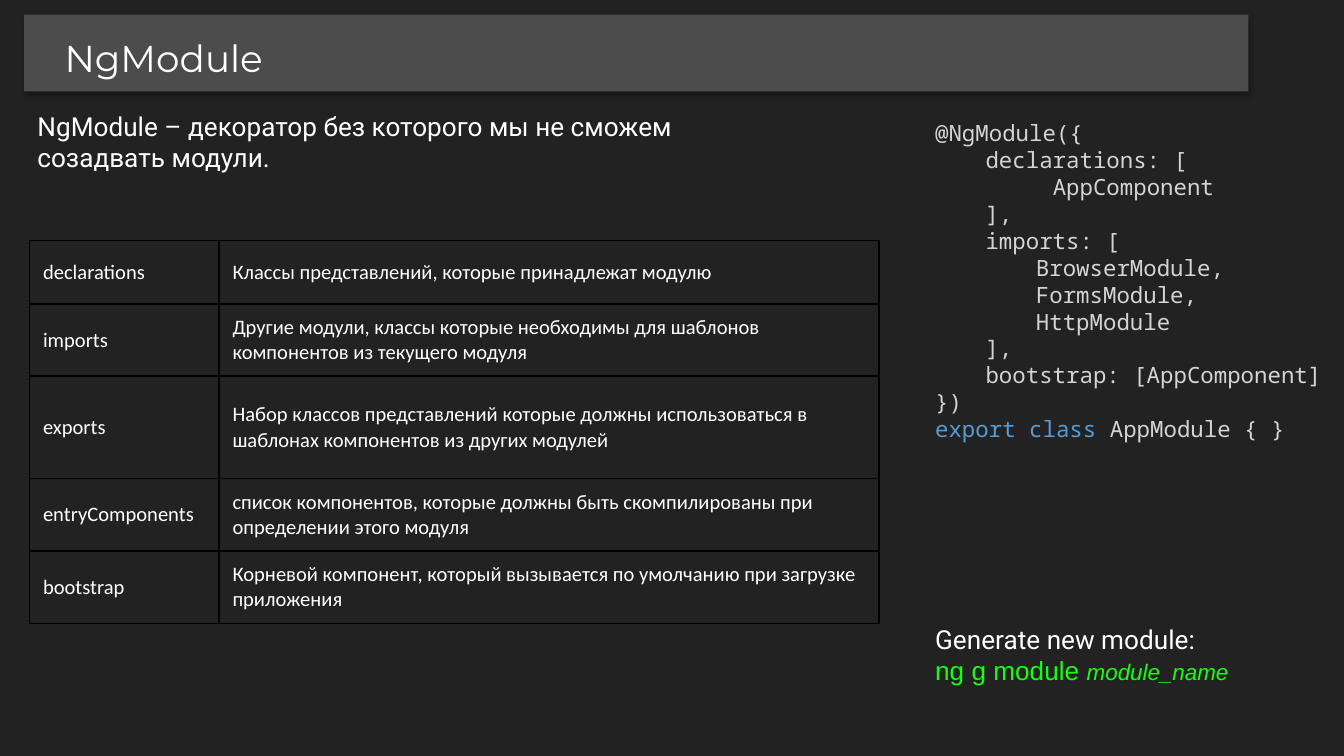
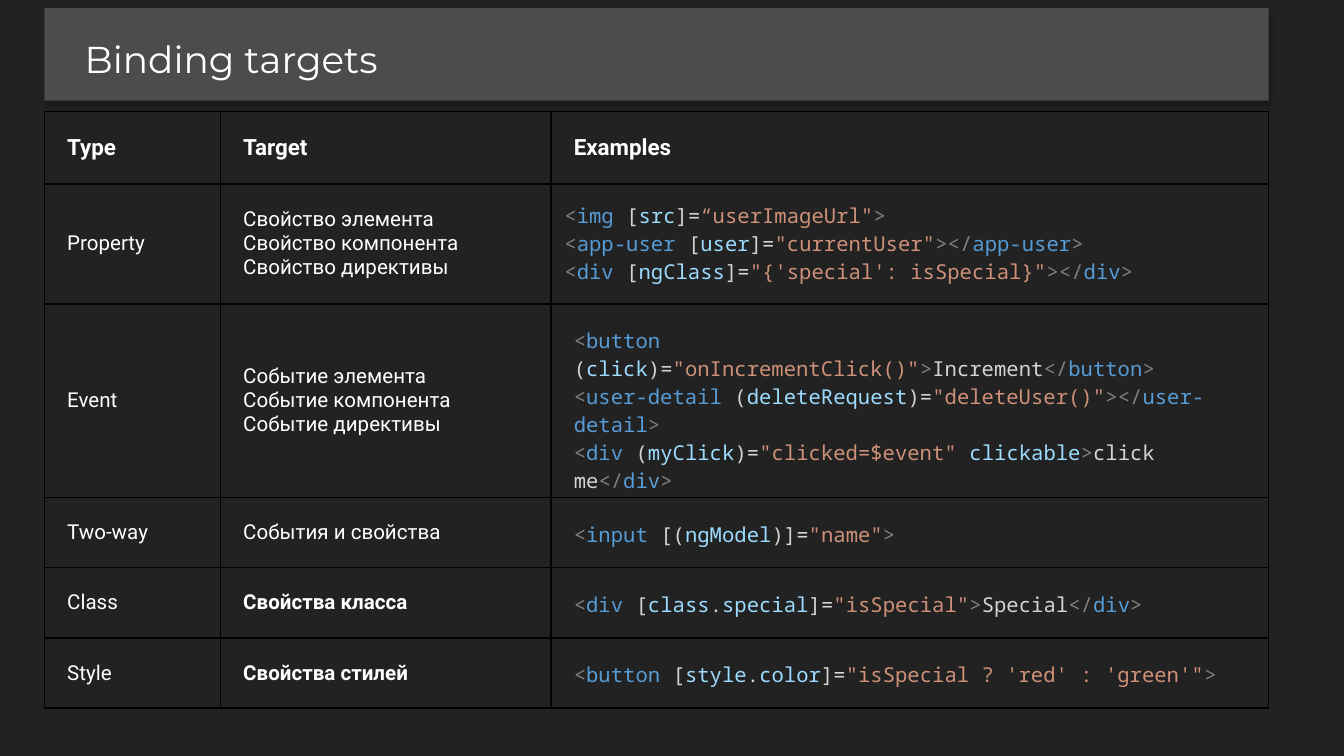
from itertools import groupby

from lxml import etree
from pptx import Presentation
from pptx.dml.color import RGBColor
from pptx.enum.shapes import MSO_SHAPE
from pptx.enum.text import MSO_ANCHOR, PP_ALIGN
from pptx.oxml.ns import qn
from pptx.util import Inches, Pt

RECTANGLE = MSO_SHAPE.RECTANGLE
TOP, MIDDLE = MSO_ANCHOR.TOP, MSO_ANCHOR.MIDDLE
LEFT = PP_ALIGN.LEFT
rgb = RGBColor.from_string

# Shared look
BACKGROUND, BAND, BORDER, WHITE, GREEN = "232223", "4C4C4C", "000000", "FFFFFF", "17FF0B"
PUNCTUATION, TAG, ATTRIBUTE, STRING, PLAIN = "808080", "569CD6", "9CDCFE", "CE9178", "D4D4D4"
MONO = "Noto Sans Mono"

# Square grid: 100 columns across the slide
prs = Presentation()
prs.slide_width = Inches(10)
prs.slide_height = prs.slide_width * 9 // 16
GRID = prs.slide_width // 100


def write(holder, lines, size=11, font="Roboto", color=WHITE, bold=False,
          levels=None, spacing=None):
    """Fill a shape or cell; a line is a string or a list of (text, overrides)."""
    frame = holder.text_frame
    frame.word_wrap = True
    for i, line in enumerate(lines):
        paragraph = frame.add_paragraph() if i else frame.paragraphs[0]
        paragraph.alignment = LEFT
        if spacing:
            paragraph.line_spacing = spacing
        if levels and levels[i]:
            paragraph.level = levels[i]
            properties = paragraph._p.get_or_add_pPr()
            properties.set("marL", str(int(3.75 * GRID * levels[i])))
            properties.set("indent", "0")
        for text, changes in [(line, {})] if isinstance(line, str) else line:
            run = paragraph.add_run()
            run.text = text
            run.font.size = Pt(changes.get("size", size))
            run.font.name = changes.get("font", font)
            run.font.bold = bold
            run.font.italic = changes.get("italic", False)
            run.font.color.rgb = rgb(changes.get("color", color))


def highlight(line):
    """Split a line of template markup into coloured runs."""
    inside = naming = quoted = False
    colored = []
    for char in line:
        if quoted:
            color, quoted = STRING, char != '"'
        elif char in '"“':
            color, quoted = STRING, True
        elif char in "<>":
            color = PUNCTUATION
            inside = naming = char == "<"
        elif inside and char == "/":
            color = PUNCTUATION
        elif naming and char != " ":
            color = TAG
        elif inside and char.isalnum():
            color = ATTRIBUTE
        else:
            color, naming = PLAIN, False
        colored.append((char, color))
    return [("".join(char for char, _ in group), {"color": color})
            for color, group in groupby(colored, key=lambda pair: pair[1])]


# Slides with their title bands
slides = []
for title, left, top, height in [("NgModule", 1.8, 1.1, 5.7),
                                 ("Binding targets", 3.3, 0.6, 6.9)]:
    slide = prs.slides.add_slide(prs.slide_layouts[6])
    slide.background.fill.solid()
    slide.background.fill.fore_color.rgb = rgb(BACKGROUND)
    band = slide.shapes.add_shape(RECTANGLE, *(int(n * GRID) for n in (left, top, 91.1, height)))
    band.fill.solid()
    band.fill.fore_color.rgb = rgb(BAND)
    band.line.fill.background()
    band.shadow.inherit = False
    effects = band._element.spPr.find(qn("a:effectLst"))
    shadow = etree.SubElement(effects, qn("a:outerShdw"), blurRad=str(Pt(3.1)),
                              dist=str(Pt(2)), dir="5400000", algn="t", rotWithShape="0")
    shade = etree.SubElement(shadow, qn("a:srgbClr"), val=BORDER)
    etree.SubElement(shade, qn("a:alpha"), val="30000")
    frame = band.text_frame
    frame.vertical_anchor = MIDDLE
    frame.margin_left, frame.margin_right = 3 * GRID, int(0.7 * GRID)
    frame.margin_top = frame.margin_bottom = int(0.4 * GRID)
    write(band, [title], size=20, font="Montserrat", spacing=1.2)
    slides.append(slide)
module_slide, binding_slide = slides

# NgModule: definition, code sample and command
module_code = [
    (0, "@NgModule({"),
    (1, "declarations: ["),
    (1, "\tAppComponent"),
    (1, "],"),
    (1, "imports: ["),
    (2, "BrowserModule,"),
    (2, "FormsModule,"),
    (2, "HttpModule"),
    (1, "],"),
    (1, "bootstrap: [AppComponent]"),
    (0, "})"),
    (0, [("export class ", {"color": TAG}), ("AppModule { }", {})]),
]
command = [("ng g module ", {"font": "Arial", "color": GREEN}),
           ("module_name", {"font": "Arial", "color": GREEN, "size": 12, "italic": True})]
for place, lines, style in [
    ((1.8, 7.7, 53.1, 9.4),
     ["NgModule – декоратор без которого мы не сможем созадвать модули."], {"size": 14}),
    ((68.6, 8.4, 31.4, 27.6), [line for _, line in module_code],
     {"size": 12, "font": MONO, "color": PLAIN, "levels": [level for level, _ in module_code]}),
    ((68.6, 45.9, 23.9, 5.7), ["Generate new module:", command], {"size": 14}),
]:
    write(module_slide.shapes.add_textbox(*(int(n * GRID) for n in place)), lines, **style)

# Table contents: each cell holds its lines and their format
module_fields = [
    ("declarations", "Классы представлений, которые принадлежат модулю"),
    ("imports", "Другие модули, классы которые необходимы для шаблонов компонентов "
                "из текущего модуля"),
    ("exports", "Набор классов представлений которые должны использоваться в шаблонах "
                "компонентов из других модулей"),
    ("entryComponents", "список компонентов, которые должны быть скомпилированы при "
                        "определении этого модуля"),
    ("bootstrap", "Корневой компонент, который вызывается по умолчанию при загрузке приложения"),
]
field_cells = [[([text], {"font": "Calibri"}) for text in field] for field in module_fields]

bindings = [
    ("Property", ["Свойство элемента", "Свойство компонента Свойство директивы"], False,
     ['<img [src]=“userImageUrl">',
      '<app-user [user]="currentUser"></app-user>',
      '<div [ngClass]="{\'special\': isSpecial}"></div>']),
    ("Event", ["Событие элемента", "Событие компонента", "Событие директивы"], False,
     ['<button (click)="onIncrementClick()">Increment</button>',
      '<user-detail (deleteRequest)="deleteUser()"></user-detail>',
      '<div (myClick)="clicked=$event" clickable>click me</div>']),
    ("Two-way", ["События и свойства"], False, ['<input [(ngModel)]="name">']),
    ("Class", ["Свойства класса"], True,
     ['<div [class.special]="isSpecial">Special</div>']),
    ("Style", ["Свойства стилей"], True,
     ['<button [style.color]="isSpecial ? \'red\' : \'green\'">']),
]
binding_cells = [[([head], {"size": 12, "bold": True}) for head in ("Type", "Target", "Examples")]]
for kind, targets, bold, examples in bindings:
    binding_cells.append([([kind], {}), (targets, {"bold": bold}),
                          ([highlight(line) for line in examples], {"font": MONO})])

# Tables: rows are minimum heights and grow with their text
NARROW, WIDE = (1, 0.5), (1.7, 1.7)
for slide, place, widths, heights, cells in [
    (module_slide, (2.2, 17.9, 63.2, 28.6), (14.1, 49.1), (4.7, 5.4, 7.6, 5.4, 5.4), field_cells),
    (binding_slide, (3.3, 8.3, 91.1, 38.5), (13.1, 24.6, 53.4), (4.1,) * 6, binding_cells),
]:
    table = slide.shapes.add_table(len(heights), len(widths),
                                   *(int(n * GRID) for n in place)).table
    table.first_row = table.horz_banding = False
    for column, width in zip(table.columns, widths):
        column.width = int(width * GRID)
    for r, (row, height) in enumerate(zip(table.rows, heights)):
        row.height = int(height * GRID)
        for c, (lines, style) in enumerate(cells[r]):
            cell = table.cell(r, c)
            tight = slide is module_slide or (r, c) == (1, 2)
            side, edge = NARROW if tight else WIDE
            cell.margin_left = cell.margin_right = int(side * GRID)
            cell.margin_top = cell.margin_bottom = int(edge * GRID)
            cell.vertical_anchor = TOP if slide is binding_slide and r == 0 else MIDDLE
            properties = cell._tc.get_or_add_tcPr()
            for border in ("a:lnL", "a:lnR", "a:lnT", "a:lnB"):
                line = etree.SubElement(properties, qn(border), w=str(Pt(1)))
                ink = etree.SubElement(line, qn("a:solidFill"))
                etree.SubElement(ink, qn("a:srgbClr"), val=BORDER)
            cell.fill.background()
            write(cell, lines, **style)

prs.save("out.pptx")
